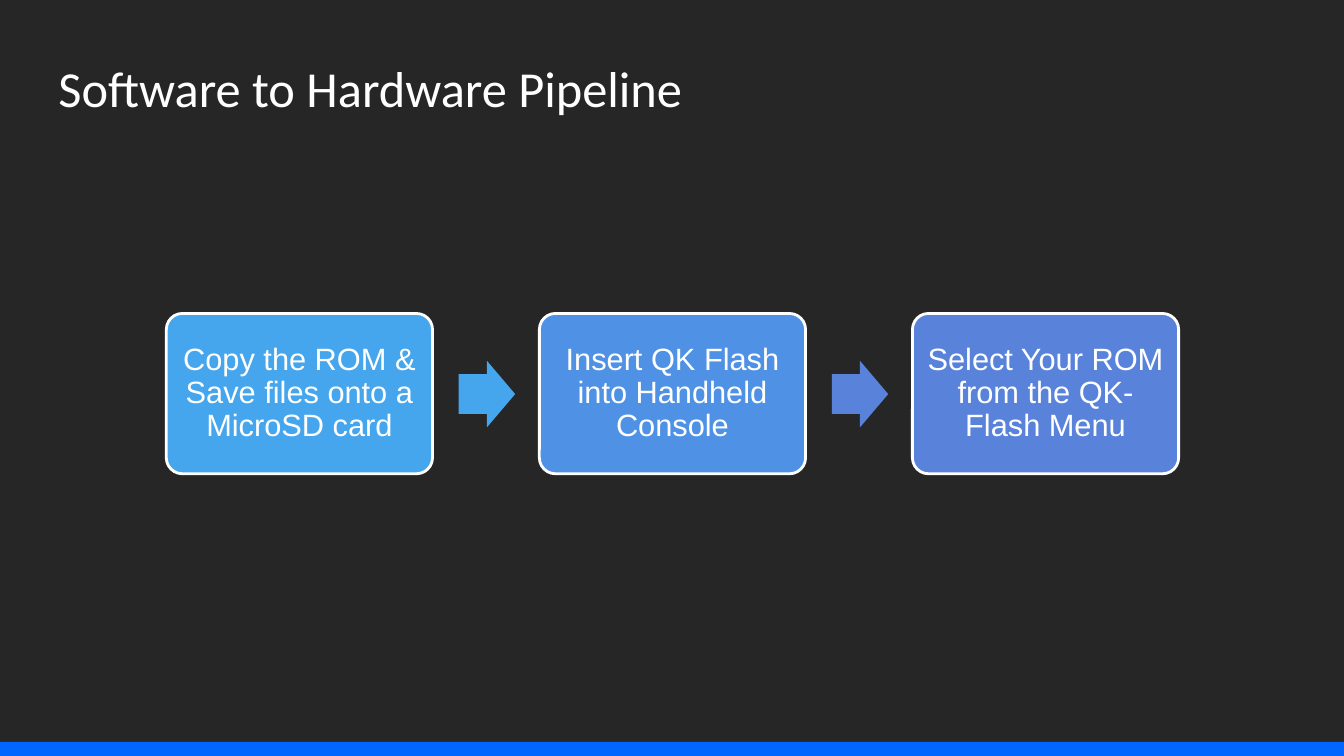
"""Build the Software to Hardware Pipeline slide."""
from pptx import Presentation
from pptx.dml.color import RGBColor
from pptx.enum.shapes import MSO_SHAPE as Preset
from pptx.enum.text import MSO_ANCHOR as Anchor, PP_ALIGN as Align
from pptx.util import Inches, Pt


def color(hex_value):
    return RGBColor.from_string(hex_value)


def write_text(shape, text, inset, font_name, size, anchor, align):
    frame = shape.text_frame
    frame.text = text
    frame_format = {"word_wrap": True, "vertical_anchor": anchor}
    for side in ("left", "top", "right", "bottom"):
        frame_format[f"margin_{side}"] = Inches(inset)
    for name, value in frame_format.items():
        setattr(frame, name, value)
    paragraph = frame.paragraphs[0]
    paragraph.alignment = align
    for name, value in {"name": font_name, "size": Pt(size)}.items():
        setattr(paragraph.font, name, value)
    paragraph.font.color.rgb = color("FFFFFF")
    return paragraph


presentation = Presentation()
presentation.slide_width = Inches(13.33)
presentation.slide_height = Inches(7.5)
slide = presentation.slides.add_slide(presentation.slide_layouts[6])
slide.background.fill.solid()
slide.background.fill.fore_color.rgb = color("262626")

footer_bar = slide.shapes.add_shape(
    Preset.RECTANGLE, Inches(0), Inches(7.36), Inches(13.33), Inches(0.14))
footer_bar.shadow.inherit = False
footer_bar.fill.solid()
footer_bar.fill.fore_color.rgb = color("0066FF")
footer_bar.line.fill.background()

title = slide.shapes.add_textbox(
    Inches(0.45), Inches(0.44), Inches(12.42), Inches(0.84))
write_text(title, "Software to Hardware Pipeline", 0.13, "Calibri", 36,
           Anchor.TOP, Align.LEFT)

steps = [
    ("Copy the ROM & Save files onto a MicroSD card", "45A5ED", "45A5ED"),
    ("Insert QK Flash into Handheld Console", "4F91E4", "5982DB"),
    ("Select Your ROM from the QK-Flash Menu", "5982DB", None),
]
for index, (text, step_color, arrow_color) in enumerate(steps):
    left = 1.65 + 3.7 * index
    step = slide.shapes.add_shape(
        Preset.ROUNDED_RECTANGLE, Inches(left), Inches(3.11), Inches(2.64), Inches(1.59))
    step.adjustments[0] = 0.1
    step.shadow.inherit = False
    step.fill.solid()
    step.fill.fore_color.rgb = color(step_color)
    step.line.color.rgb = color("FFFFFF")
    step.line.width = Pt(2)
    paragraph = write_text(step, text, 0.09, "Arial", 22, Anchor.MIDDLE, Align.CENTER)
    paragraph.line_spacing = 0.9

    if arrow_color:
        arrow = slide.shapes.add_shape(
            Preset.RIGHT_ARROW, Inches(left + 2.9), Inches(3.58), Inches(0.56), Inches(0.66))
        arrow.adjustments[0] = 0.6
        arrow.adjustments[1] = 0.5
        arrow.shadow.inherit = False
        arrow.fill.solid()
        arrow.fill.fore_color.rgb = color(arrow_color)
        arrow.line.fill.background()

presentation.save("out.pptx")
